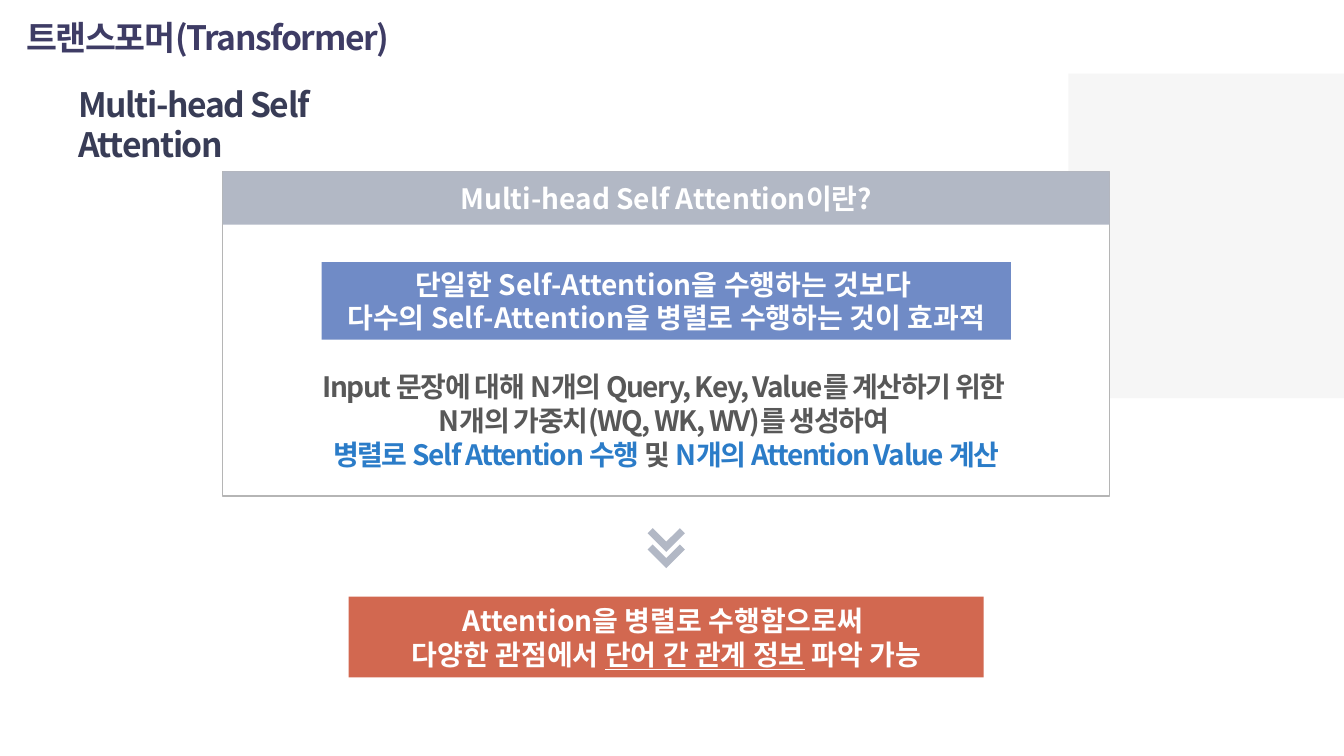
from dataclasses import dataclass
from typing import Optional

from lxml import etree
from pptx import Presentation
from pptx import util as u
from pptx.dml.color import RGBColor
from pptx.enum import shapes, text
from pptx.oxml import ns

FONT = "Noto Sans CJK KR"
CELL = u.Inches(0.1)  # one column or row of the grid
COLS, ROWS = 133.33, 75
HUES = {
    "white": "FFFFFF", "pale": "F6F6F6", "edge": "B5B5B5", "grey": "B2B8C5",
    "title": "3E3C65", "head": "383C56", "body": "585858",
    "link": "2B7CC8", "blue": "708BC6", "red": "D26850",
}


@dataclass
class Span:
    text: str
    hue: str = "white"
    line: bool = False


@dataclass
class Box:
    col: float
    row: float
    wide: float
    high: float
    lines: tuple[tuple[Span, ...], ...] = ()
    fill: Optional[str] = None
    edge: Optional[str] = None
    size: int = 20
    tight: bool = False
    mid: bool = True
    left: bool = False
    lead: Optional[float] = None


PANEL = (22.1, 17, 88)  # left column, top row and width of the panel

BOXES = [
    Box(106, 7.3, COLS - 106, 32.2, fill="pale"),
    Box(1.6, 1.5, 121.5, 4.9, ((Span("트랜스포머(Transformer)", "title"),),),
        size=24, tight=True, left=True, lead=0.9),
    Box(6.8, 7.8, 39.1, 5, ((Span("Multi-head Self Attention", "head"),),),
        size=24, tight=True, left=True, mid=False),
    Box(*PANEL, 32.2, fill="white", edge="edge"),
    Box(*PANEL, 5.3, ((Span("Multi-head Self Attention이란?"),),), fill="grey"),
    Box(22.1, 36.2, 88, 11.1, (
        (Span("Input 문장에 대해 N개의 Query, Key, Value를 계산하기 위한 ", "body"),),
        (Span("N개의 가중치(WQ, WK, WV)를 생성하여 ", "body"),),
        (Span("병렬로 Self Attention 수행", "link"), Span(" 및 ", "body"),
         Span("N개의 Attention Value 계산", "link")),
    ), tight=True, mid=False),
    Box(31.9, 26, 68.4, 7.7, (
        (Span("단일한 Self-Attention을 수행하는 것보다 "),),
        (Span("다수의 Self-Attention을 병렬로 수행하는 것이 효과적"),),
    ), fill="blue", mid=False),
    Box(34.6, 59.2, 63, 8, (
        (Span("Attention을 병렬로 수행함으로써 "),),
        (Span("다양한 관점에서 "), Span("단어 간 관계 정보", line=True),
         Span(" 파악 가능")),
    ), fill="red"),
]


def grid(count: float) -> int:
    return round(count * CELL)


def color(name: str) -> RGBColor:
    return RGBColor.from_string(HUES[name])


def paint(shape, fill: str, edge: Optional[str] = None) -> None:
    shape.shadow.inherit = False
    shape.fill.solid()
    shape.fill.fore_color.rgb = color(fill)
    if edge:
        shape.line.color.rgb = color(edge)
        shape.line.width = u.Pt(1)
    else:
        shape.line.fill.background()


def style(run, span: Span, box: Box) -> None:
    font = run.font
    font.size, font.bold, font.name = u.Pt(box.size), True, FONT
    font.color.rgb = color(span.hue)
    if span.line:
        font.underline = True
    props = run._r.get_or_add_rPr()
    if box.tight:
        props.set("spc", "-100")
    east = etree.Element(ns.qn("a:ea"), typeface=FONT)
    props.find(ns.qn("a:latin")).addnext(east)


def write(frame, box: Box) -> None:
    frame.word_wrap = True
    frame.vertical_anchor = (
        text.MSO_ANCHOR.MIDDLE if box.mid else text.MSO_ANCHOR.TOP)
    for i, line in enumerate(box.lines):
        para = frame.add_paragraph() if i else frame.paragraphs[0]
        para.alignment = text.PP_ALIGN.LEFT if box.left else text.PP_ALIGN.CENTER
        if box.lead:
            para.line_spacing = box.lead
        for span in line:
            run = para.add_run()
            run.text = span.text
            style(run, span, box)


def draw(slide, box: Box) -> None:
    place = [grid(n) for n in (box.col, box.row, box.wide, box.high)]
    if box.fill:
        shape = slide.shapes.add_shape(shapes.MSO_SHAPE.RECTANGLE, *place)
        paint(shape, box.fill, box.edge)
    else:
        shape = slide.shapes.add_textbox(*place)
    if box.lines:
        write(shape.text_frame, box)


def arrow(slide, mid: float, top: float) -> None:
    """Draw two stacked chevrons that point down."""
    half, notch, arm, gap = 1.85, 1.35, 0.5, 1.62
    pen = None
    for y in (top, top + gap):
        dots = [(mid - half, y + arm), (mid - notch, y), (mid, y + notch),
                (mid + notch, y), (mid + half, y + arm),
                (mid, y + arm + half)]
        dots = [(grid(a), grid(b)) for a, b in dots]
        if pen is None:
            pen = slide.shapes.build_freeform(*dots[0])
        else:
            pen.move_to(*dots[0])
        pen.add_line_segments(dots[1:], close=True)
    paint(pen.convert_to_shape(), "grey")


def main() -> None:
    deck = Presentation()
    deck.slide_width, deck.slide_height = grid(COLS), grid(ROWS)
    slide = deck.slides.add_slide(deck.slide_layouts[6])
    for box in BOXES:
        draw(slide, box)
    arrow(slide, 66.1, 52.4)
    deck.save("out.pptx")


if __name__ == "__main__":
    main()
